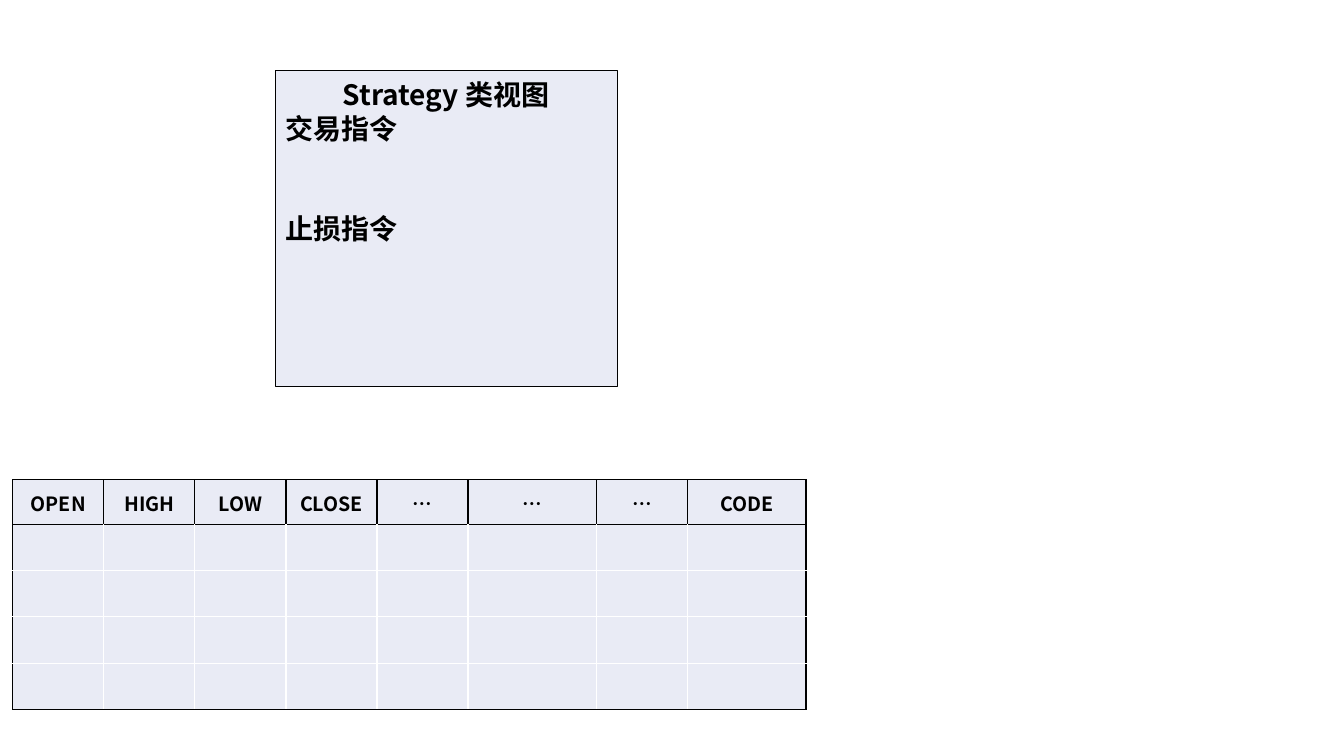
from dataclasses import dataclass

from lxml import etree
from pptx import Presentation
from pptx.dml.color import RGBColor
from pptx.enum.shapes import MSO_SHAPE
from pptx.enum.text import MSO_ANCHOR, PP_ALIGN
from pptx.oxml.ns import qn
from pptx.util import Emu, Inches, Pt

RECT = MSO_SHAPE.RECTANGLE
TOP, MIDDLE = MSO_ANCHOR.TOP, MSO_ANCHOR.MIDDLE
LEFT, CENTER = PP_ALIGN.LEFT, PP_ALIGN.CENTER


@dataclass(frozen=True)
class Theme:
    """Colours, font and type sizes."""
    font: str = "Noto Sans CJK SC"
    ink: str = "000000"
    panel: str = "E9EBF5"
    grid: str = "FFFFFF"
    title: int = 20
    header: int = 14


def write(p, text, theme, size, align=LEFT, before=0, pitch=None):
    """Put bold text into a paragraph."""
    p.alignment = align
    p.space_before = Pt(before)
    if pitch:
        p.line_spacing = Pt(pitch)
    r = p.add_run()
    r.text = text
    r.font.size, r.font.bold, r.font.name = Pt(size), True, theme.font
    r.font.color.rgb = RGBColor.from_string(theme.ink)
    ea = etree.SubElement(r.font._element, qn("a:ea"))
    ea.set("typeface", theme.font)


def set_border(cell, side, color):
    """Draw one edge of a table cell."""
    ln = etree.Element(qn(f"a:ln{side}"), w=str(Pt(1)))
    fill = etree.SubElement(ln, qn("a:solidFill"))
    etree.SubElement(fill, qn("a:srgbClr"), val=color)
    tcPr = cell._tc.get_or_add_tcPr()
    tcPr.insert(len(tcPr.findall("*")) - 1, ln)


class Page:
    """Adds styled elements placed in percent of the slide size."""

    def __init__(self, prs, theme):
        self.theme = theme
        self.size = prs.slide_width, prs.slide_height
        self.s = prs.slides.add_slide(prs.slide_layouts[6])

    def place(self, x, y, w, h):
        """Turn percentages into lengths."""
        return [Emu(int(v * self.size[i % 2] / 100)) for i, v in enumerate((x, y, w, h))]

    def fill(self, target):
        """Give an element the panel colour."""
        target.fill.solid()
        target.fill.fore_color.rgb = RGBColor.from_string(self.theme.panel)

    def panel(self, area, lines):
        """Add an outlined box holding lines of text."""
        sp = self.s.shapes.add_shape(RECT, *self.place(*area))
        sp.shadow.inherit = False
        self.fill(sp)
        sp.line.color.rgb = RGBColor.from_string(self.theme.ink)
        sp.line.width = Pt(0.5)
        tf = sp.text_frame
        tf.word_wrap, tf.vertical_anchor = True, TOP
        tf.margin_top = Inches(0.07)
        for i, (text, style) in enumerate(lines):
            p = tf.add_paragraph() if i else tf.paragraphs[0]
            write(p, text, self.theme, self.theme.title, pitch=24, **style)

    def table(self, area, header, widths, heights):
        """Add a table with a framed header row and empty body."""
        x, y, w, h = self.place(*area)
        tbl = self.s.shapes.add_table(len(heights), len(widths), x, y, w, h).table
        tbl.first_row = tbl.horz_banding = False
        for parts, total, attr, items in ((widths, w, "width", tbl.columns),
                                          (heights, h, "height", tbl.rows)):
            for part, item in zip(parts, items):
                setattr(item, attr, Emu(int(total * part / sum(parts))))
        last_row, last_col = len(heights) - 1, len(widths) - 1
        for row in range(len(heights)):
            for col in range(len(widths)):
                cell = tbl.cell(row, col)
                self.fill(cell)
                dark = {"L": row == 0 or col == 0, "R": row == 0 or col == last_col,
                        "T": row <= 1, "B": row in (0, last_row)}
                for side, is_dark in dark.items():
                    set_border(cell, side, self.theme.ink if is_dark else self.theme.grid)
        for col, text in enumerate(header):
            cell = tbl.cell(0, col)
            cell.vertical_anchor = MIDDLE
            cell.margin_left = cell.margin_right = cell.margin_top = Inches(0.01)
            cell.margin_bottom = 0
            write(cell.text_frame.paragraphs[0], text, self.theme,
                  self.theme.header, align=CENTER)


def main():
    """Build the slide and save it."""
    prs = Presentation()
    prs.slide_width, prs.slide_height = Inches(13.33), Inches(7.5)
    page = Page(prs, Theme())
    page.panel((20.48, 9.33, 25.43, 41.73), [
        ("Strategy 类视图", {"align": CENTER}),
        ("交易指令", {}),
        ("止损指令", {"before": 48}),
    ])
    page.table((0.95, 63.47, 59.04, 30.4),
               ["OPEN", "HIGH", "LOW", "CLOSE", "…", "…", "…", "CODE"],
               widths=[0.9] * 5 + [1.27, 0.9, 1.17],
               heights=[0.44] + [0.46] * 4)
    prs.save("out.pptx")


main()
